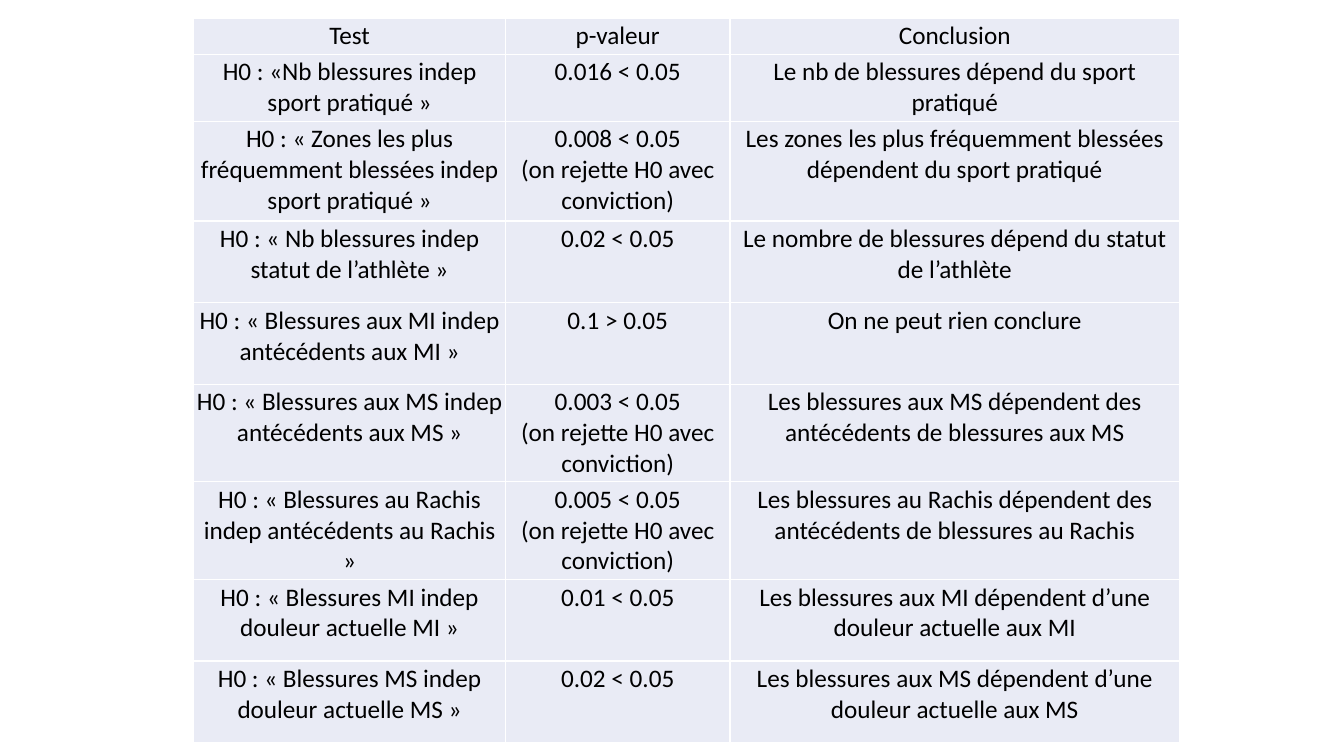
import pptx
import pptx.util
import pptx.dml.color
import pptx.enum.text
import pptx.oxml
import pptx.oxml.ns

Pt = pptx.util.Pt

WIDTHS = [222.5, 160.5, 321]
HEIGHTS = [18.7, 44.6, 71.3] + [58.3] * 6
SURE = "(on rejette H0 avec conviction)"

# Each cell is a list of paragraphs
ROWS = [
    (["Test"], ["p-valeur"], ["Conclusion"]),
    (["H0 : «Nb blessures indep sport pratiqué »"],
     ["0.016 < 0.05"],
     ["Le nb de blessures dépend du sport pratiqué"]),
    (["H0 : « Zones les plus fréquemment blessées indep sport pratiqué »"],
     ["0.008 < 0.05", SURE],
     ["Les zones les plus fréquemment blessées dépendent du sport pratiqué"]),
    (["H0 : « Nb blessures indep statut de l’athlète »"],
     ["0.02 < 0.05"],
     ["Le nombre de blessures dépend du statut de l’athlète"]),
    (["H0 : « Blessures aux MI indep antécédents aux MI »"],
     ["0.1 > 0.05"],
     ["On ne peut rien conclure"]),
    (["H0 : « Blessures aux MS indep antécédents aux MS »"],
     ["0.003 < 0.05", SURE],
     ["Les blessures aux MS dépendent des antécédents de blessures aux MS"]),
    (["H0 : « Blessures au Rachis indep antécédents au Rachis »"],
     ["0.005 < 0.05", SURE],
     ["Les blessures au Rachis dépendent des antécédents de blessures au Rachis"]),
    (["H0 : « Blessures MI indep douleur actuelle MI »"],
     ["0.01 < 0.05"],
     ["Les blessures aux MI dépendent d’une douleur actuelle aux MI"]),
    (["H0 : « Blessures MS indep douleur actuelle MS »"],
     ["0.02 < 0.05"],
     ["Les blessures aux MS dépendent d’une douleur actuelle aux MS"]),
]


def paint(fill, color):
    fill.solid()
    fill.fore_color.rgb = pptx.dml.color.RGBColor.from_string(color)


class Page:
    font, size, ink = "Calibri", 18, "000000"
    back, rule, inset = "E9EBF5", "FFFFFF", 1.9

    def __init__(self, slide):
        self.slide = slide

    def text(self, frame, lines):
        for i, line in enumerate(lines):
            para = frame.paragraphs[0] if i == 0 else frame.add_paragraph()
            para.alignment = pptx.enum.text.PP_ALIGN.CENTER
            run = para.add_run()
            run.text = line
            run.font.name = self.font
            run.font.size = Pt(self.size)
            paint(run.font.fill, self.ink)

    def edges(self, cell):
        props = cell._tc.get_or_add_tcPr()
        for side in "LRTB":
            props.append(pptx.oxml.parse_xml(
                f'<a:ln{side} {pptx.oxml.ns.nsdecls("a")} w="{Pt(1)}">'
                f'<a:solidFill><a:srgbClr val="{self.rule}"/></a:solidFill>'
                f'</a:ln{side}>'))

    def cell(self, cell, lines):
        cell.margin_left = cell.margin_right = Pt(self.inset)
        cell.margin_top = cell.margin_bottom = Pt(self.inset)
        self.edges(cell)
        paint(cell.fill, self.back)
        self.text(cell.text_frame, lines)

    def table(self, left, top, widths, heights, rows):
        frame = self.slide.shapes.add_table(
            len(rows), len(widths), Pt(left), Pt(top),
            Pt(sum(widths)), Pt(sum(heights)))
        table = frame.table
        table.first_row = table.horz_banding = False
        for col, width in zip(table.columns, widths):
            col.width = Pt(width)
        for row, height, cells in zip(table.rows, heights, rows):
            row.height = Pt(height)
            for cell, lines in zip(row.cells, cells):
                self.cell(cell, lines)


def main():
    # Blank wide slide
    deck = pptx.Presentation()
    deck.slide_width, deck.slide_height = Pt(960), Pt(540)
    page = Page(deck.slides.add_slide(deck.slide_layouts[6]))
    paint(page.slide.background.fill, "FFFFFF")

    # Test results
    page.table(138.5, 13, WIDTHS, HEIGHTS, ROWS)

    deck.save("out.pptx")


if __name__ == "__main__":
    main()
